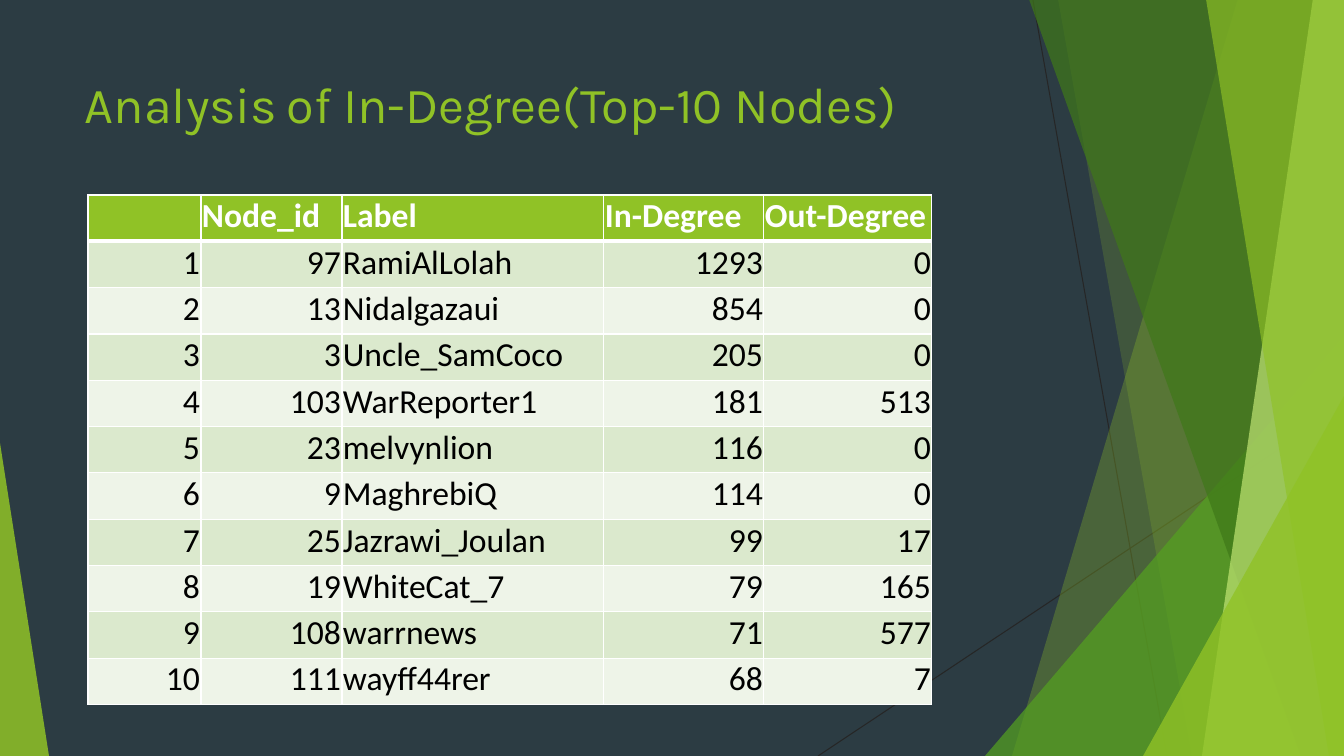
"""Build the In-Degree top-10 nodes slide."""
import pptx
import pptx.dml.color
import pptx.enum.shapes
import pptx.enum.text
import pptx.oxml
import pptx.oxml.ns
import pptx.util

RGB = pptx.dml.color.RGBColor
ALIGN = pptx.enum.text.PP_ALIGN
ANCHOR = pptx.enum.text.MSO_ANCHOR
SCALE = 914400 / 100.8
W, H = 1344, 756

SLATE = RGB(0x2C, 0x3C, 0x43)
CHARCOAL = RGB(0x26, 0x26, 0x26)
LIME = RGB(0x90, 0xC2, 0x26)
GREEN = RGB(0x54, 0xA0, 0x21)
FOREST = RGB(0x3F, 0x78, 0x19)
PALE_LIME = RGB(0xC0, 0xE4, 0x74)
BAND_DARK = RGB(0xDB, 0xE9, 0xCD)
BAND_LIGHT = RGB(0xEE, 0xF4, 0xE8)
WHITE = RGB(0xFF, 0xFF, 0xFF)
BLACK = RGB(0, 0, 0)

COLUMNS = [113, 141, 262, 160, 168]
ROW_HEIGHT = 46
LABEL_COLUMN = 2
HEADER = ["", "Node_id", "Label", "In-Degree", "Out-Degree"]
NODES = [
    (97, "RamiAlLolah", 1293, 0),
    (13, "Nidalgazaui", 854, 0),
    (3, "Uncle_SamCoco", 205, 0),
    (103, "WarReporter1", 181, 513),
    (23, "melvynlion", 116, 0),
    (9, "MaghrebiQ", 114, 0),
    (25, "Jazrawi_Joulan", 99, 17),
    (19, "WhiteCat_7", 79, 165),
    (108, "warrnews", 71, 577),
    (111, "wayff44rer", 68, 7),
]


def px(n):
    """Turn pixels into EMU."""
    return pptx.util.Emu(round(n * SCALE))


def apply(obj, **values):
    """Set each given attribute on an object."""
    for name, value in values.items():
        setattr(obj, name, value)


def xml(parent, tag, **attrs):
    """Append a DrawingML element with attributes."""
    el = parent.makeelement(pptx.oxml.ns.qn(tag), attrs)
    parent.append(el)
    return el


def add_line(s, x1, y1, x2, y2):
    """Draw a thin dark line."""
    kind = pptx.enum.shapes.MSO_CONNECTOR.STRAIGHT
    cn = s.shapes.add_connector(kind, px(x1), px(y1), px(x2), px(y2))
    cn.line.color.rgb = CHARCOAL
    cn.line.width = pptx.util.Pt(0.75)
    xml(cn.element.spPr, "a:effectLst")


def paint(sp, color, opacity):
    """Fill a shape with a translucent colour, without line or shadow."""
    sp.shadow.inherit = False
    sp.line.fill.background()
    sp.fill.solid()
    sp.fill.fore_color.rgb = color
    solid = sp.element.spPr.find(pptx.oxml.ns.qn("a:solidFill"))
    xml(solid[0], "a:alpha", val=str(opacity * 1000))


def add_facet(s, top_x, bottom_x, color, opacity):
    """Draw a full-height facet that reaches the right edge."""
    fb = s.shapes.build_freeform(top_x, -1, SCALE)
    fb.add_line_segments([(W, -1), (W, H), (bottom_x, H)], close=True)
    paint(fb.convert_to_shape(), color, opacity)


def add_triangle(s, x, y, w, apex, color, opacity):
    """Draw a triangle that stands on the bottom edge."""
    kind = pptx.enum.shapes.MSO_SHAPE.ISOSCELES_TRIANGLE
    sp = s.shapes.add_shape(kind, px(x), px(y), px(w), px(H - y))
    sp.adjustments[0] = apex
    paint(sp, color, opacity)


def add_run(p, text, **font):
    """Add a formatted run to a paragraph."""
    r = p.add_run()
    r.text = text
    color = font.pop("color")
    apply(r.font, **font)
    r.font.color.rgb = color


def add_title(s, text):
    """Add the slide title."""
    tf = s.shapes.add_textbox(px(75), px(68), px(948), px(145)).text_frame
    apply(tf, word_wrap=True, vertical_anchor=ANCHOR.TOP)
    add_run(tf.paragraphs[0], text, name="Karla", size=pptx.util.Pt(36), color=LIME)


def add_borders(cell, bottom):
    """Give a cell white borders, with its own bottom width in points."""
    tc_pr = cell._tc.get_or_add_tcPr()
    widths = {"a:lnL": 1, "a:lnR": 1, "a:lnT": 1, "a:lnB": bottom}
    for i, (tag, width) in enumerate(widths.items()):
        ln = xml(tc_pr, tag, w=str(pptx.util.Pt(width)))
        xml(xml(ln, "a:solidFill"), "a:srgbClr", val=str(WHITE))
        tc_pr.insert(i, ln)


def fill_cell(cell, text, fill, color, bold, align, bottom):
    """Write and format one table cell."""
    apply(cell, margin_left=px(1), margin_top=px(1), margin_right=px(1),
          margin_bottom=px(5), vertical_anchor=ANCHOR.BOTTOM)
    cell.fill.solid()
    cell.fill.fore_color.rgb = fill
    add_borders(cell, bottom)
    p = cell.text_frame.paragraphs[0]
    p.alignment = align
    if text:
        add_run(p, text, name="Calibri", size=pptx.util.Pt(24), bold=bold, color=color)


def add_nodes_table(s, x, y):
    """Add the table of ranked nodes."""
    rows = [HEADER] + [(rank, *node) for rank, node in enumerate(NODES, 1)]
    frame = s.shapes.add_table(len(rows), len(COLUMNS), px(x), px(y),
                               px(sum(COLUMNS)), px(ROW_HEIGHT * len(rows)))
    table = frame.table
    for column, width in zip(table.columns, COLUMNS):
        column.width = px(width)
    for i, values in enumerate(rows):
        table.rows[i].height = px(ROW_HEIGHT)
        head = i == 0
        fill = LIME if head else BAND_DARK if i % 2 else BAND_LIGHT
        for j, value in enumerate(values):
            left = head or j == LABEL_COLUMN
            fill_cell(table.cell(i, j), str(value), fill,
                      WHITE if head else BLACK, head,
                      ALIGN.LEFT if left else ALIGN.RIGHT, 3 if head else 1)


def add_backdrop(s):
    """Draw the background and its green facets."""
    s.background.fill.solid()
    s.background.fill.fore_color.rgb = SLATE
    add_line(s, 1033, 0, 1167, H)
    add_line(s, W, 406, 818, H)
    add_facet(s, 1238, 1012, LIME, 30)
    add_facet(s, 1058, 1192, LIME, 20)
    add_triangle(s, 985, 336, 359, 1, GREEN, 72)
    add_facet(s, 1029, 1301, FOREST, 70)
    add_facet(s, 1313, 1202, PALE_LIME, 70)
    add_facet(s, 1206, 1329, LIME, 65)
    add_triangle(s, 1143, 396, 201, 1, LIME, 80)
    add_triangle(s, 0, 443, 49, 0, LIME, 85)


def main():
    """Build and save the presentation."""
    prs = pptx.Presentation()
    apply(prs, slide_width=px(W), slide_height=px(H))
    s = prs.slides.add_slide(prs.slide_layouts[6])
    add_backdrop(s)
    add_title(s, "Analysis\tof In-Degree(Top-10 Nodes)")
    add_nodes_table(s, 88, 195)
    prs.save("out.pptx")


if __name__ == "__main__":
    main()
